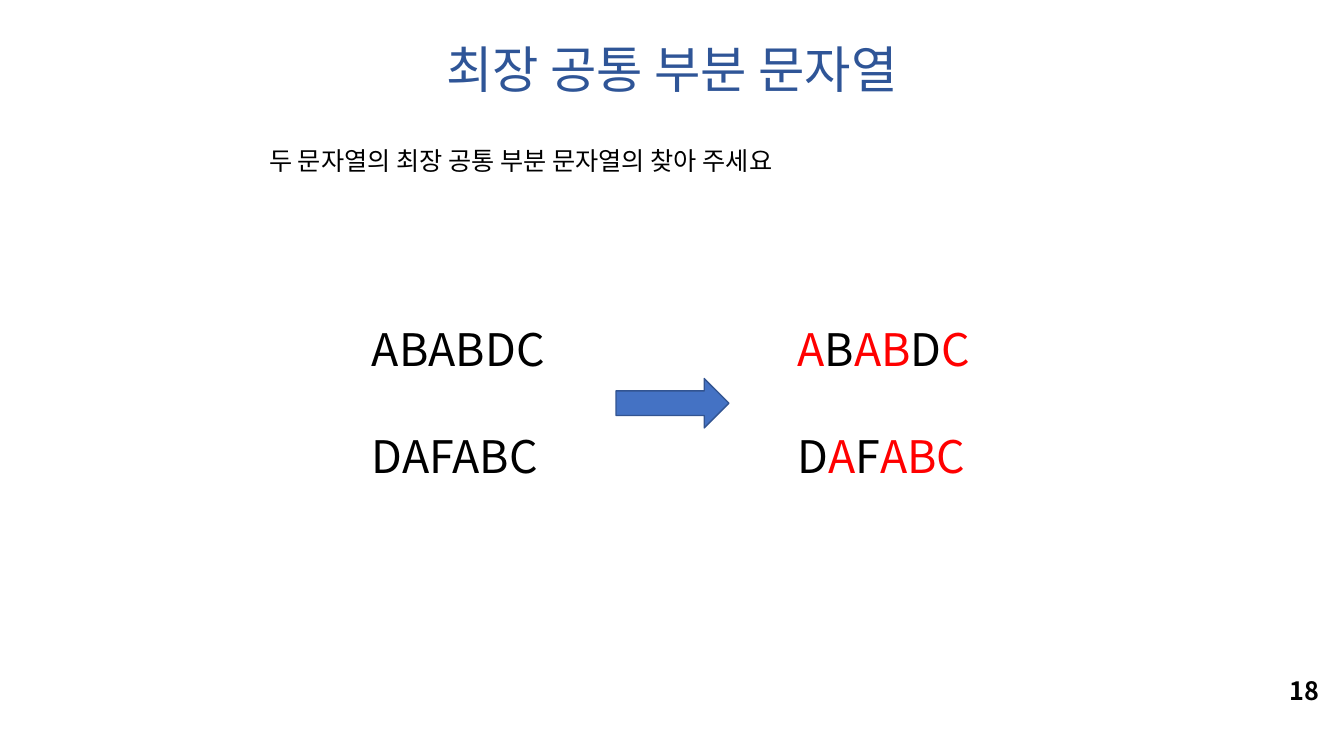
import pptx
import pptx.util
import pptx.dml.color
import pptx.enum.shapes
import pptx.enum.text
import pptx.oxml
import pptx.oxml.ns
from dataclasses import dataclass

Inches, Pt = pptx.util.Inches, pptx.util.Pt
RGB = pptx.dml.color.RGBColor.from_string
ALIGN = pptx.enum.text.PP_ALIGN
SHAPES = pptx.enum.shapes.MSO_SHAPE

# Content: each line is a list of (letters, belongs to the common part)
TITLE = "최장 공통 부분 문자열"
TASK = "두 문자열의 최장 공통 부분 문자열의 찾아 주세요"
PAGE = "18"
ANSWER = [
    [("A", True), ("B", False), ("AB", True), ("D", False), ("C", True)],
    [("D", False), ("A", True), ("F", False), ("ABC", True)],
]
QUESTION = [[("".join(letters for letters, _ in line), False)] for line in ANSWER]


@dataclass(frozen=True)
class Theme:
    font: str = "Noto Sans CJK KR"
    paper: str = "FFFFFF"
    ink: str = "000000"
    title: str = "2F5597"
    common: str = "FF0000"
    arrow: str = "4472C4"
    arrow_edge: str = "325491"
    title_size: int = 36
    letters_size: int = 32
    body_size: int = 18
    line_gap: float = 38.5


THEME = Theme()

# Layout in inches: left, top, width, height
PAIR_TOP, PAIR_W, PAIR_H = 3.14, 5.34, 1.72
QUESTION_LEFT, ANSWER_LEFT = 3.59, 7.81
ARROW_W, ARROW_H = 1.12, 0.49
ARROW_LEFT = 6.11
ARROW_TOP = PAIR_TOP + (PAIR_H - ARROW_H) / 2


def area(*lengths):
    return [Inches(length) for length in lengths]


def write(shape, lines, size, align=ALIGN.LEFT, bold=False, wrap=True, gap=0):
    """Fill a shape with lines of (text, colour) runs."""
    frame = shape.text_frame
    frame.word_wrap = wrap
    frame.auto_size = pptx.enum.text.MSO_AUTO_SIZE.SHAPE_TO_FIT_TEXT
    for index, line in enumerate(lines):
        paragraph = frame.add_paragraph() if index else frame.paragraphs[0]
        paragraph.alignment = align
        paragraph.space_before = Pt(gap if index else 0)
        for text, colour in line:
            run = paragraph.add_run()
            run.text = text
            run.font.size = Pt(size)
            run.font.bold = bold
            run.font.name = THEME.font
            run.font.color.rgb = RGB(colour)
            east_asian = pptx.oxml.parse_xml(
                f'<a:ea {pptx.oxml.ns.nsdecls("a")} typeface="{THEME.font}"/>')
            run.font._element.find(pptx.oxml.ns.qn("a:latin")).addnext(east_asian)


def add_pair(slide, left, pair):
    lines = [[(letters, THEME.common if common else THEME.ink)
              for letters, common in line] for line in pair]
    box = slide.shapes.add_textbox(*area(left, PAIR_TOP, PAIR_W, PAIR_H))
    write(box, lines, THEME.letters_size, gap=THEME.line_gap)


def main():
    deck = pptx.Presentation()
    deck.slide_width, deck.slide_height = area(13.33, 7.5)
    slide = deck.slides.add_slide(deck.slide_layouts[6])
    shapes = slide.shapes

    # Page number and title
    page = shapes.add_textbox(*area(12.69, 6.65, 0.53, 0.4))
    write(page, [[(PAGE, THEME.ink)]], THEME.body_size, bold=True, wrap=False)
    title = shapes.add_textbox(*area(0, 0.33, 13.33, 0.71))
    write(title, [[(TITLE, THEME.title)]], THEME.title_size, ALIGN.CENTER)

    # Task
    task = shapes.add_shape(SHAPES.RECTANGLE, *area(2.57, 1.39, 9.1, 0.4))
    task.shadow.inherit = False
    task.fill.solid()
    task.fill.fore_color.rgb = RGB(THEME.paper)
    task.line.fill.background()
    write(task, [[(TASK, THEME.ink)]], THEME.body_size)

    # Question, arrow, answer
    add_pair(slide, QUESTION_LEFT, QUESTION)
    arrow = shapes.add_shape(
        SHAPES.RIGHT_ARROW, *area(ARROW_LEFT, ARROW_TOP, ARROW_W, ARROW_H))
    arrow.shadow.inherit = False
    arrow.fill.solid()
    arrow.fill.fore_color.rgb = RGB(THEME.arrow)
    arrow.line.color.rgb = RGB(THEME.arrow_edge)
    arrow.line.width = Pt(1)
    add_pair(slide, ANSWER_LEFT, ANSWER)

    deck.save("out.pptx")


if __name__ == "__main__":
    main()
